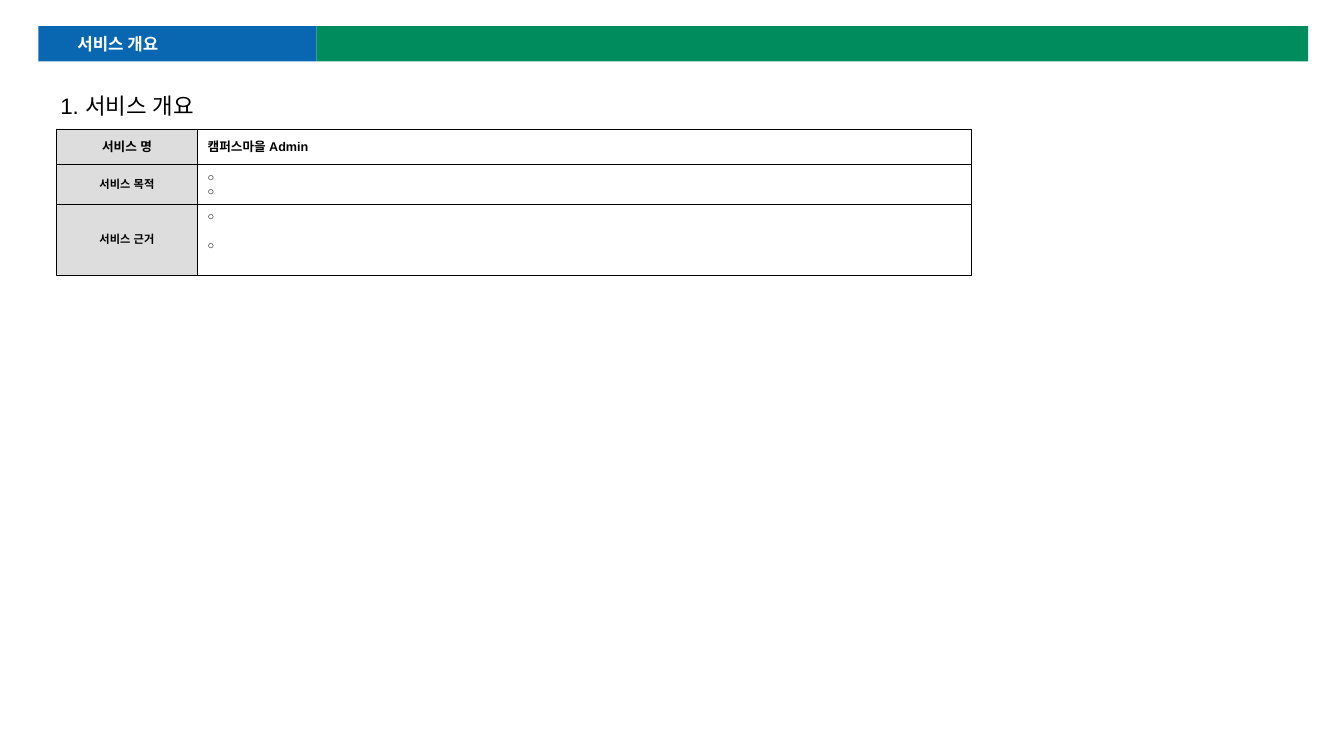
from dataclasses import dataclass

from lxml import etree
from pptx import Presentation
from pptx import util as u
from pptx.dml.color import RGBColor
from pptx.enum import shapes, text
from pptx.oxml import ns


@dataclass(frozen=True)
class Theme:
    blue: str = "0967B2"
    green: str = "008C5D"
    grey: str = "DDDDDD"
    white: str = "FFFFFF"
    black: str = "000000"
    body_font: str = "Arial"
    banner_font: str = "Noto Sans CJK KR"
    banner_size: float = 12
    heading_size: float = 16
    name_size: float = 9
    cell_size: float = 8
    border: float = 0.75


@dataclass(frozen=True)
class Box:
    left: float
    top: float
    width: float
    height: float

    def lengths(self):
        return [u.Cm(n) for n in (self.left, self.top, self.width, self.height)]


THEME = Theme()
ROWS = [
    ("서비스 명", ["캠퍼스마을 Admin"], THEME.name_size, 0.89),
    ("서비스 목적", ["○", "○"], THEME.cell_size, 1.02),
    ("서비스 근거", ["○", "○"], THEME.cell_size, 1.77),
]


def style_para(para, size, color, bold=False, font=THEME.body_font):
    for span in para.runs:
        span.font.size = u.Pt(size)
        span.font.bold = bold
        span.font.name = font
        span.font.color.rgb = RGBColor.from_string(color)
        east_asian = etree.SubElement(span.font._element, ns.qn("a:ea"))
        east_asian.set("typeface", font)


def add_bar(page, box, color):
    bar = page.shapes.add_shape(shapes.MSO_SHAPE.RECTANGLE, *box.lengths())
    bar.shadow.inherit = False
    bar.fill.solid()
    bar.fill.fore_color.rgb = RGBColor.from_string(color)
    bar.line.fill.background()


def add_banner(page, box, title):
    tab_width = 7.01
    add_bar(page, Box(box.left, box.top, tab_width, box.height), THEME.blue)
    add_bar(page, Box(box.left + tab_width, box.top,
                      box.width - tab_width, box.height), THEME.green)
    label_box = Box(box.left + 0.88, box.top + 0.03, 2.49, 0.71)
    frame = page.shapes.add_textbox(*label_box.lengths()).text_frame
    frame.word_wrap = False
    frame.auto_size = text.MSO_AUTO_SIZE.SHAPE_TO_FIT_TEXT
    frame.margin_left = frame.margin_right = u.Cm(0.1)
    frame.margin_top = frame.margin_bottom = u.Cm(0.1)
    frame.text = title
    para = frame.paragraphs[0]
    para.line_spacing = 1.1
    style_para(para, THEME.banner_size, THEME.white, True, THEME.banner_font)


def add_heading(page, box, title):
    frame = page.shapes.add_textbox(*box.lengths()).text_frame
    frame.word_wrap = True
    frame.vertical_anchor = text.MSO_ANCHOR.MIDDLE
    frame.text = title
    para = frame.paragraphs[0]
    para.line_spacing = 0.9
    style_para(para, THEME.heading_size, THEME.black)


def add_borders(cell):
    properties = cell._tc.get_or_add_tcPr()
    for position, side in enumerate(("lnL", "lnR", "lnT", "lnB")):
        line = etree.Element(ns.qn(f"a:{side}"), w=str(u.Pt(THEME.border)))
        fill = etree.SubElement(line, ns.qn("a:solidFill"))
        etree.SubElement(fill, ns.qn("a:srgbClr"), val=THEME.black)
        properties.insert(position, line)


def fill_cell(cell, lines, size, color, bold, centred=False, gap=None):
    cell.fill.solid()
    cell.fill.fore_color.rgb = RGBColor.from_string(color)
    cell.vertical_anchor = text.MSO_ANCHOR.MIDDLE
    cell.text_frame.text = "\n".join(lines)
    for para in cell.text_frame.paragraphs:
        para.alignment = text.PP_ALIGN.CENTER if centred else text.PP_ALIGN.LEFT
        para.space_before = u.Pt(size * 0.2)
        style_para(para, size, THEME.black, bold)
    if gap:
        cell.vertical_anchor = text.MSO_ANCHOR.TOP
        cell.text_frame.paragraphs[-1].space_before = u.Pt(gap)
    add_borders(cell)


def add_overview_table(page, box, rows):
    label_width = 3.56
    table = page.shapes.add_table(len(rows), 2, *box.lengths()).table
    table.first_row = table.horz_banding = False
    table.columns[0].width = u.Cm(label_width)
    table.columns[1].width = u.Cm(box.width - label_width)
    for index, (label, lines, size, height) in enumerate(rows):
        table.rows[index].height = u.Cm(height)
        fill_cell(table.cell(index, 0), [label], size, THEME.grey, True, True)
        gap = 12 if index == len(rows) - 1 else None
        fill_cell(table.cell(index, 1), lines, size, THEME.white,
                  index == 0, gap=gap)


def main():
    deck = Presentation()
    deck.slide_width, deck.slide_height = u.Cm(33.87), u.Cm(19.05)
    page = deck.slides.add_slide(deck.slide_layouts[6])
    add_banner(page, Box(0.97, 0.66, 32, 0.89), "서비스 개요")
    add_heading(page, Box(1.27, 2.21, 31.72, 0.97), "1. 서비스 개요")
    table_height = sum(row[-1] for row in ROWS)
    add_overview_table(page, Box(1.42, 3.25, 23.06, table_height), ROWS)
    deck.save("out.pptx")


if __name__ == "__main__":
    main()
